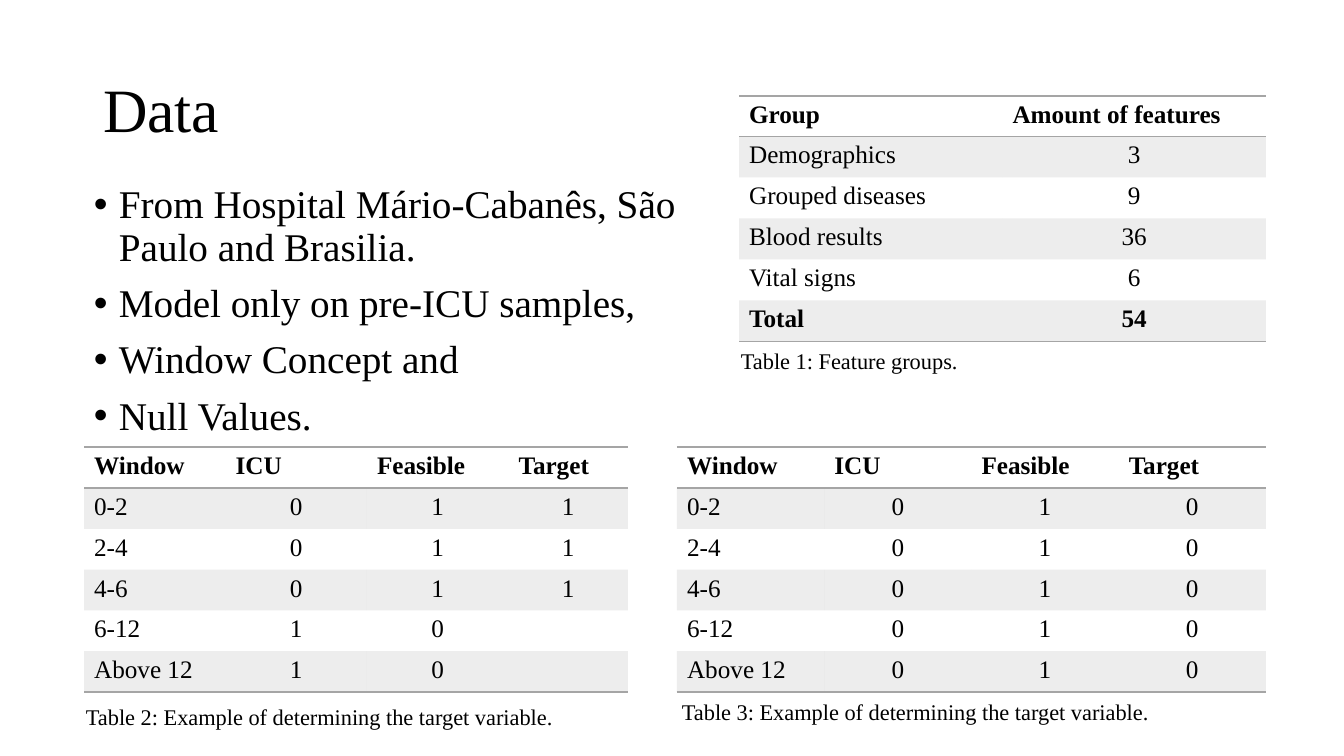
from lxml import etree
from pptx import Presentation
from pptx.dml.color import RGBColor
from pptx.enum.text import MSO_ANCHOR, MSO_AUTO_SIZE, PP_ALIGN
from pptx.oxml.ns import qn
from pptx.util import Pt

LEFT, CENTER = PP_ALIGN.LEFT, PP_ALIGN.CENTER
MIDDLE, TOP = MSO_ANCHOR.MIDDLE, MSO_ANCHOR.TOP
NONE = MSO_AUTO_SIZE.NONE
SCALE = 914400 / 100.8
FONT = "Times New Roman"
PLAIN = "{2D5ABB26-0587-4C30-8999-92F81FD0307C}"
COLORS = {"ink": "000000", "gray": "A5A5A5", "page": "FFFFFF"}

POINTS = [
    "From Hospital Mário-Cabanês, São Paulo and Brasilia.",
    "Model only on pre-ICU samples,",
    "Window Concept and",
    "Null Values.",
]
GROUPS = [
    ("Group", "Amount of features"),
    ("Demographics", "3"),
    ("Grouped diseases", "9"),
    ("Blood results", "36"),
    ("Vital signs", "6"),
    ("Total", "54"),
]
HEAD = ("Window", "ICU", "Feasible", "Target")
SPANS = ("0-2", "2-4", "4-6", "6-12", "Above 12")
MIXED = [HEAD] + [(span, *marks) for span, marks in zip(
    SPANS, [("0", "1", "1")] * 3 + [("1", "0", "")] * 2)]
STEADY = [HEAD] + [(span, "0", "1", "0") for span in SPANS]


def px(n):
    """Turn pixels into EMU."""
    return round(n * SCALE)


def color(name):
    """Look up a colour by name."""
    return RGBColor.from_string(COLORS[name])


def write(frame, lines, size=18, bold=False, align=LEFT, anchor=TOP,
          spacing=None, before=None, bullet=False):
    """Fill a text frame with formatted paragraphs."""
    frame.word_wrap = True
    frame.vertical_anchor = anchor
    for i, line in enumerate(lines):
        para = frame.add_paragraph() if i else frame.paragraphs[0]
        para.alignment = align
        para.line_spacing = spacing
        if before is not None:
            para.space_before = Pt(before)
        if bullet:
            props = para._p.get_or_add_pPr()
            props.set("marL", str(px(25)))
            props.set("indent", str(px(-25)))
            etree.SubElement(props, qn("a:buFont"), typeface="Arial")
            etree.SubElement(props, qn("a:buChar"), char="•")
        if line:
            run = para.add_run()
            run.text = line
            font = run.font
            font.name, font.size, font.bold = FONT, Pt(size), bold
            font.color.rgb = color("ink")


def tint(parent, name, alpha=None):
    """Add a solid fill, with opacity in percent if given."""
    fill = etree.SubElement(parent, qn("a:solidFill"))
    tone = etree.SubElement(fill, qn("a:srgbClr"), val=COLORS[name])
    if alpha:
        etree.SubElement(tone, qn("a:alpha"), val=str(alpha * 1000))


def style(cell, band, sides):
    """Give a cell its rules and its band."""
    props = cell._tc.get_or_add_tcPr()
    for side in sides:
        rule = etree.SubElement(props, qn("a:ln" + side), w=str(Pt(1)))
        tint(rule, "gray")
    if band:
        tint(props, "gray", 20)
    else:
        cell.fill.background()


def title(slide, box, words):
    """Place the slide title."""
    shape = slide.shapes.title
    shape.left, shape.top, shape.width, shape.height = map(px, box)
    write(shape.text_frame, [words], size=44, anchor=MIDDLE, spacing=0.9)
    shape.text_frame.auto_size = NONE


def label(slide, box, lines, **form):
    """Place a text box."""
    shape = slide.shapes.add_textbox(*map(px, box))
    write(shape.text_frame, lines, **form)


def grid(slide, box, rows, cols, note, shift, top=41, total=False):
    """Draw a banded table with its caption below."""
    x, y, wide, high = box
    frame = slide.shapes.add_table(len(rows), len(cols), *map(px, box))
    table = frame.table
    table._tbl.tblPr.find(qn("a:tableStyleId")).text = PLAIN
    for col, size in zip(table.columns, cols):
        col.width = px(size)
    last = len(rows) - 1
    for r, row in enumerate(rows):
        table.rows[r].height = px((high - top) / last if r else top)
        sides = "TB" if r == 0 else "B" if r == last else ""
        for c, words in enumerate(row):
            cell = table.cell(r, c)
            write(cell.text_frame, [words], bold=r == 0 or (total and r == last),
                  align=CENTER if r and c else LEFT)
            style(cell, r % 2, sides)
    dx, dy = shift
    label(slide, (x + dx, y + high + dy, 544, 37), [note], size=16)


def build():
    """Build the data slide."""
    deck = Presentation()
    deck.slide_width, deck.slide_height = px(1344), px(756)
    slide = deck.slides.add_slide(deck.slide_layouts[5])
    slide.background.fill.solid()
    slide.background.fill.fore_color.rgb = color("page")
    title(slide, (93, 40, 1159, 146), "Data")
    label(slide, (84, 180, 641, 480), POINTS, size=28, spacing=0.9,
          before=10, bullet=True)
    grid(slide, (739, 96, 527, 243), GROUPS, [263.5] * 2,
         "Table 1: Feature groups.", (-8, 3), top=38, total=True)
    example = "Example of determining the target variable."
    grid(slide, (84, 447, 544, 245), MIXED, [141.5] * 3 + [119.5],
         f"Table 2: {example}", (-8, 6))
    grid(slide, (677, 447, 589, 245), STEADY, [147.25] * 4,
         f"Table 3: {example}", (-5, 1))
    deck.save("out.pptx")


build()
